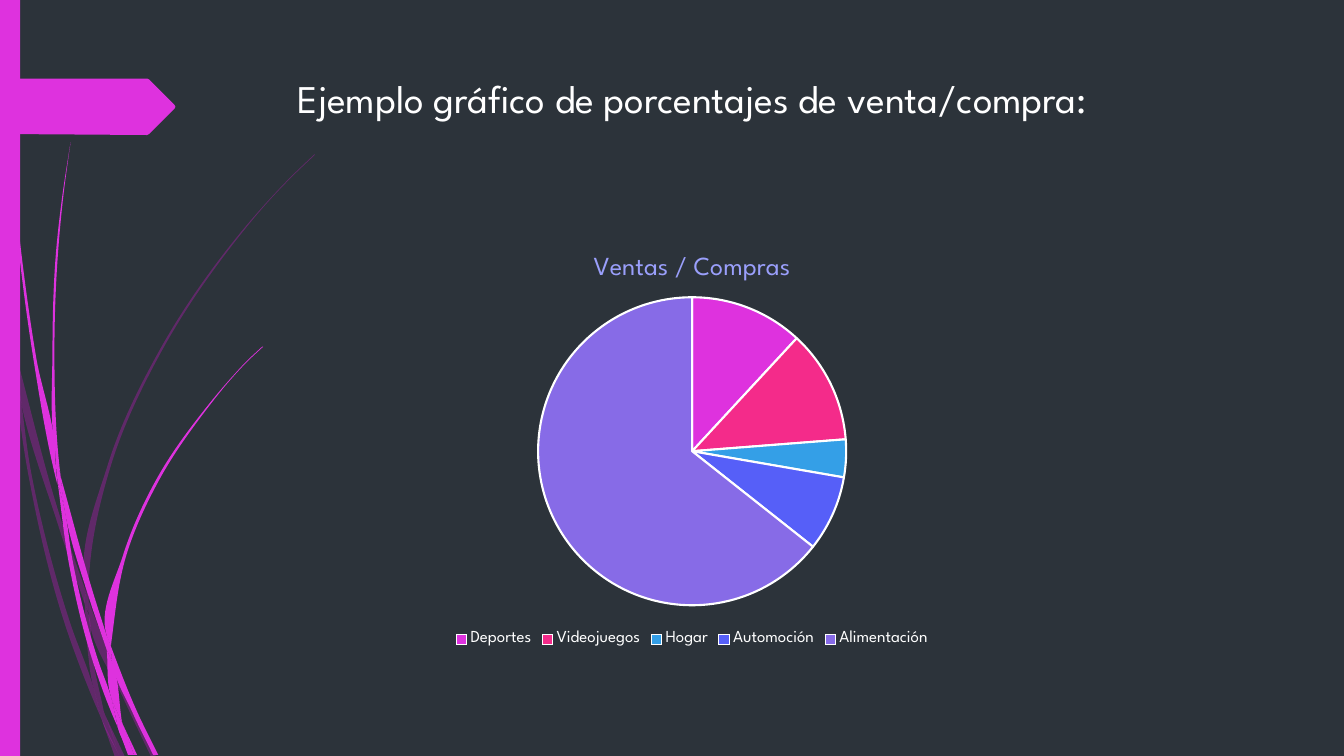
from math import dist

from lxml import etree
from pptx import Presentation
from pptx.chart.data import CategoryChartData
from pptx.dml.color import RGBColor
from pptx.enum.chart import XL_CHART_TYPE, XL_LEGEND_POSITION
from pptx.enum.shapes import MSO_SHAPE
from pptx.enum.text import MSO_ANCHOR, PP_ALIGN
from pptx.oxml.ns import qn
from pptx.util import Inches, Pt

PIE = XL_CHART_TYPE.PIE
BOTTOM = XL_LEGEND_POSITION.BOTTOM
RECT = MSO_SHAPE.RECTANGLE
TOP = MSO_ANCHOR.TOP
CENTER = PP_ALIGN.CENTER

DARK = RGBColor(0x2C, 0x33, 0x3A)
WHITE = RGBColor(0xFF, 0xFF, 0xFF)
PINK = RGBColor(0xDE, 0x32, 0xDE)
PLUM = RGBColor(0xB0, 0x1C, 0xB0)
LILAC = RGBColor(0x9A, 0x9F, 0xFB)
ROSE = RGBColor(0xF4, 0x2B, 0x8A)
SKY = RGBColor(0x34, 0x9F, 0xE7)
BLUE = RGBColor(0x56, 0x5F, 0xF8)
VIOLET = RGBColor(0x87, 0x6B, 0xE7)
FONT = "League Spartan"

SALES = [("Deportes", 12, PINK), ("Videojuegos", 12, ROSE), ("Hogar", 4, SKY),
         ("Automoción", 8, BLUE), ("Alimentación", 65, VIOLET)]

# Each blade of grass is a pair of edges: down one side, back along the other.
FAINT = [
    ([(0.11, 3.5), (0.09, 3.22), (0, 2.82)], [(0, 2.99), (0.1, 3.44), (0.11, 3.5)]),
    ([(0.14, 3.45), (0.17, 3.76), (0.58, 5.22), (0.84, 5.99)],
     [(0.85, 5.86), (0.62, 5.2), (0.14, 3.45)]),
    ([(0.88, 5.96), (0.88, 6.1), (1.23, 6.94), (1.5, 7.51)],
     [(1.55, 7.51), (1.27, 6.92), (0.92, 6.07), (0.88, 5.96)]),
    ([(1.19, 7.51), (1.24, 7.51)], [(1.05, 7.11), (1.19, 7.51)]),
    ([(0.11, 3.5), (0.28, 4.7), (0.65, 6.21), (0.92, 6.93), (1.01, 7.14)],
     [(0.99, 7.07), (0.93, 6.83), (0.7, 6.19), (0.31, 4.69), (0.17, 3.76), (0.11, 3.5)]),
    ([(0.84, 5.99), (0.87, 6.46), (0.93, 6.83), (0.96, 6.92), (1.05, 7.11)],
     [(1.03, 7.06), (0.91, 6.46), (0.88, 6.1), (0.84, 5.99)]),
    ([(0.88, 5.96), (0.88, 5.84), (1.1, 4.62), (1.6, 3.49), (2.29, 2.45), (2.68, 1.98),
      (2.9, 1.75), (3.12, 1.54)],
     [(3.12, 1.53), (2.89, 1.75), (2.68, 1.97), (2.28, 2.44), (1.58, 3.48), (1.07, 4.61),
      (0.85, 5.84), (0.88, 5.96)]),
    ([(1.01, 7.14), (1.14, 7.51)], [(1.19, 7.51), (1.01, 7.14)]),
    ([(0.88, 6.08), (0.88, 5.96)], [(0.85, 5.86), (0.84, 5.99), (0.88, 6.08)]),
    ([(0.93, 6.83), (0.99, 7.07), (1.01, 7.14), (1.19, 7.51)],
     [(1.19, 7.51), (1.05, 7.11), (0.96, 6.92), (0.93, 6.83)]),
]
BRIGHT = [
    ([(0.03, 0), (0.04, 0.48), (0.07, 1.1), (0.17, 2.33), (0.33, 3.55), (0.56, 4.77),
      (0.57, 4.81)],
     [(0.55, 4.57), (0.55, 4.53), (0.36, 3.55), (0.19, 2.32), (0.08, 1.09), (0.05, 0.48),
      (0.04, 0)]),
    ([(0.6, 4.72), (0.64, 5.05), (0.88, 5.92), (1.06, 6.45)],
     [(1.06, 6.31), (0.93, 5.9), (0.6, 4.72)]),
    ([(1.1, 6.41), (1.11, 6.56), (1.32, 7.08), (1.52, 7.49)],
     [(1.57, 7.49), (1.36, 7.06), (1.13, 6.49), (1.1, 6.41)]),
    ([(0.57, 4.77), (0.68, 5.57), (0.93, 6.59), (1.11, 7.08), (1.17, 7.22)],
     [(1.16, 7.17), (1.1, 6.91), (0.98, 6.57), (0.72, 5.56), (0.64, 5.05), (0.57, 4.77)]),
    ([(0.6, 4.72), (0.58, 4.53), (0.54, 3.49), (0.58, 2.45), (0.63, 1.93), (0.7, 1.41)],
     [(0.7, 1.41), (0.62, 1.93), (0.56, 2.45), (0.52, 3.49), (0.55, 4.49), (0.6, 4.72)]),
    ([(1.33, 7.49), (1.36, 7.49)], [(1.22, 7.19), (1.33, 7.49)]),
    ([(0.57, 4.77), (0.64, 5.05)], [(0.6, 4.72), (0.55, 4.49), (0.55, 4.53), (0.57, 4.77)]),
    ([(1.1, 6.41), (1.11, 6.33), (1.25, 5.52), (1.58, 4.76), (2.05, 4.06), (2.31, 3.74),
      (2.45, 3.59), (2.61, 3.44)],
     [(2.6, 3.44), (2.45, 3.58), (2.31, 3.73), (2.04, 4.05), (1.56, 4.74), (1.22, 5.51),
      (1.06, 6.31), (1.1, 6.41)]),
    ([(1.17, 7.22), (1.27, 7.49)], [(1.31, 7.49), (1.17, 7.22)]),
    ([(1.06, 6.45), (1.1, 6.91), (1.16, 7.06), (1.22, 7.19)],
     [(1.21, 7.16), (1.11, 6.56), (1.06, 6.45)]),
    ([(1.06, 6.45), (1.11, 6.56)], [(1.1, 6.41), (1.06, 6.31), (1.06, 6.45)]),
    ([(1.1, 6.91), (1.16, 7.17), (1.17, 7.22), (1.3, 7.49)],
     [(1.33, 7.49), (1.22, 7.19), (1.16, 7.06), (1.1, 6.91)]),
]
TAG = [(0, 0.78), (1.46, 0.78), (1.48, 0.79), (1.73, 1.04), (1.74, 1.06), (1.73, 1.08),
       (1.48, 1.33), (1.46, 1.34), (0, 1.33)]


def bend(knots):
    """Return the two Bezier handles of each span of a smooth curve."""
    gaps = [dist(a, b) for a, b in zip(knots, knots[1:])]
    runs = [[(q - p) / gap for p, q in zip(a, b)]
            for a, b, gap in zip(knots, knots[1:], gaps)]
    mids = [[(p * h + q * g) / (g + h) for p, q in zip(a, b)]
            for a, b, g, h in zip(runs, runs[1:], gaps, gaps[1:])]
    slopes = [runs[0], *mids, runs[-1]]
    return [([p + s * gap / 3 for p, s in zip(a, u)], [p - s * gap / 3 for p, s in zip(b, v)])
            for a, b, u, v, gap in zip(knots, knots[1:], slopes, slopes[1:], gaps)]


def put(thing, **form):
    for key, value in form.items():
        setattr(thing, key, value)


class Deck:
    def __init__(self):
        self.show = Presentation()
        put(self.show, slide_width=Inches(13.33), slide_height=Inches(7.5))
        self.slide = self.show.slides.add_slide(self.show.slide_layouts[6])
        self.shapes = self.slide.shapes
        self.tint(self.slide.background, DARK)

    def tint(self, thing, color):
        thing.fill.solid()
        thing.fill.fore_color.rgb = color

    def type(self, font, size, color):
        put(font, name=FONT, size=Pt(size), bold=False)
        font.color.rgb = color

    def paint(self, shape, color, alpha=None):
        shape.shadow.inherit = False
        self.tint(shape, color)
        shape.line.fill.background()
        if alpha:
            tone = shape.fill._xPr.find(qn("a:solidFill"))[0]
            etree.SubElement(tone, qn("a:alpha")).set("val", str(alpha * 1000))

    def shape(self, points, color, alpha=None, home=None):
        dots = [(Inches(x), Inches(y)) for x, y in points]
        pen = (home or self.shapes).build_freeform(*dots[0])
        pen.add_line_segments(dots[1:], close=True)
        shape = pen.convert_to_shape()
        self.paint(shape, color, alpha)
        return shape

    def grass(self, blades, color, alpha=None):
        group = self.shapes.add_group_shape()
        for down, back in blades:
            shape = self.shape(down + back, color, alpha, group.shapes)
            self.curve(shape, [*bend(down), None, *bend(back)])

    def curve(self, shape, spans):
        """Turn the straight sides of a freeform into Bezier spans."""
        sides = list(shape._element.iter(qn("a:lnTo")))
        for side, span in zip(sides, spans):
            if span:
                side.tag = qn("a:cubicBezTo")
                for spot, (x, y) in enumerate(span):
                    point = etree.Element(qn("a:pt"))
                    point.set("x", str(Inches(x) - shape.left))
                    point.set("y", str(Inches(y) - shape.top))
                    side.insert(spot, point)

    def bar(self, box, color):
        self.paint(self.shapes.add_shape(RECT, *map(Inches, box)), color)

    def text(self, box, words, size):
        frame = self.shapes.add_textbox(*map(Inches, box)).text_frame
        put(frame, word_wrap=True, vertical_anchor=TOP, text=words)
        line = frame.paragraphs[0]
        line.alignment = CENTER
        self.type(line.runs[0].font, size, WHITE)

    def pie(self, box, title, rows):
        data = CategoryChartData()
        names, values, colors = zip(*rows)
        data.categories = names
        data.add_series("Series 1", values)
        chart = self.shapes.add_chart(PIE, *map(Inches, box), data).chart
        self.type(chart.font, 10, WHITE)
        put(chart, has_title=True, has_legend=True)
        frame = chart.chart_title.text_frame
        frame.text = title
        self.type(frame.paragraphs[0].runs[0].font, 18.6, LILAC)
        put(chart.legend, position=BOTTOM, include_in_layout=False)
        self.type(chart.legend.font, 12, WHITE)
        plot = chart.plots[0]
        plot.vary_by_categories = True
        for spot, color in enumerate(colors):
            form = plot.series[0].points[spot].format
            self.tint(form, color)
            put(form.line, width=Pt(1.5))
            form.line.color.rgb = WHITE
        self.place(chart, x=0.34, y=0.15, w=0.32, h=0.74)

    def place(self, chart, **parts):
        """Fix the plot area at fractions of the chart's size."""
        area = chart._chartSpace.chart.plotArea
        for old in area.findall(qn("c:layout")):
            area.remove(old)
        layout = etree.Element(qn("c:layout"))
        area.insert(0, layout)
        manual = etree.SubElement(layout, qn("c:manualLayout"))
        modes = dict(layoutTarget="inner", xMode="edge", yMode="edge")
        for key, value in {**modes, **parts}.items():
            etree.SubElement(manual, qn("c:" + key)).set("val", str(value))


def main():
    deck = Deck()
    deck.grass(FAINT, PLUM, 40)
    deck.grass(BRIGHT, PINK)
    deck.bar((0, 0, 0.2, 7.5), PINK)
    deck.shape(TAG, PINK)
    deck.text((1.99, 0.69, 9.75, 1.4), "Ejemplo gráfico de porcentajes de venta/compra:", 28)
    deck.pie((1.99, 2.33, 9.75, 4.13), "Ventas / Compras", SALES)
    deck.show.save("out.pptx")


if __name__ == "__main__":
    main()
